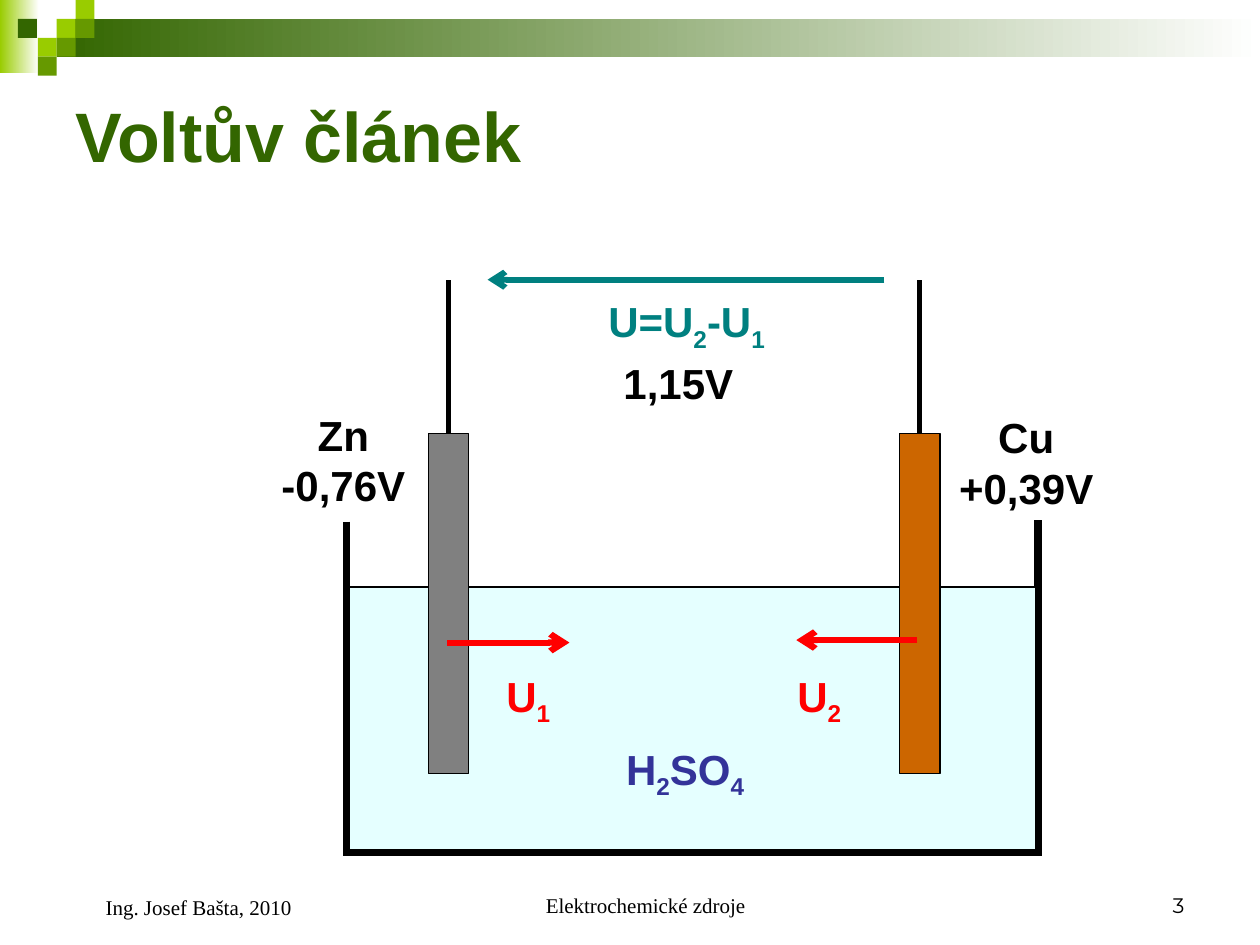
import itertools

import pptx
import pptx.dml.color
import pptx.enum.shapes
import pptx.enum.text
import pptx.oxml
import pptx.util

RGBColor = pptx.dml.color.RGBColor
Inches = pptx.util.Inches
Pt = pptx.util.Pt
ALIGN = pptx.enum.text.PP_ALIGN
ANCHOR = pptx.enum.text.MSO_ANCHOR

WHITE = RGBColor(0xFF, 0xFF, 0xFF)
BLACK = RGBColor(0x00, 0x00, 0x00)
DARK_GREEN = RGBColor(0x33, 0x66, 0x00)
GREEN = RGBColor(0x66, 0x99, 0x00)
LIME = RGBColor(0x99, 0xCC, 0x00)
ACID = RGBColor(0xE5, 0xFF, 0xFF)
ZINC = RGBColor(0x80, 0x80, 0x80)
COPPER = RGBColor(0xCC, 0x66, 0x00)
RED = RGBColor(0xFF, 0x00, 0x00)
TEAL = RGBColor(0x00, 0x80, 0x80)
INDIGO = RGBColor(0x33, 0x33, 0x99)

SQUARE = 0.15
ZINC_X, COPPER_X = 3.56, 7.3
ELECTRODE_TOP, ELECTRODE_WIDTH, ELECTRODE_HEIGHT = 3.44, 0.32, 2.7
WIRE_TOP = 2.22


def add_rectangle(slide, left, top, width, height, color, outlined=False, fade=False):
    shape = slide.shapes.add_shape(
        pptx.enum.shapes.MSO_SHAPE.RECTANGLE,
        Inches(left), Inches(top), Inches(width), Inches(height))
    shape.shadow.inherit = False
    if fade:
        shape.fill.gradient()
        shape.fill.gradient_angle = 0
        for stop, stop_color in zip(shape.fill.gradient_stops, (color, WHITE)):
            stop.color.rgb = stop_color
    else:
        shape.fill.solid()
        shape.fill.fore_color.rgb = color
    if outlined:
        shape.line.color.rgb = BLACK
        shape.line.width = Pt(0.75)
    else:
        shape.line.fill.background()


def add_line(slide, start, end, color, width, arrow=False):
    line = slide.shapes.add_connector(
        pptx.enum.shapes.MSO_CONNECTOR.STRAIGHT,
        *(Inches(length) for length in (*start, *end)))
    line.line.color.rgb = color
    line.line.width = Pt(width)
    if arrow:
        pptx.oxml.ns  # namespace helpers
        head = pptx.oxml.xmlchemy.OxmlElement("a:tailEnd")
        head.set("type", "arrow")
        line.line._get_or_add_ln().append(head)
    line._element.spPr.append(pptx.oxml.xmlchemy.OxmlElement("a:effectLst"))


def format_font(font, size, color, name="Arial", bold=True):
    font.size = Pt(size)
    font.name = name
    font.bold = bold
    font.color.rgb = color


def add_text_box(slide, left, top, width, height, align=ALIGN.LEFT, anchor=ANCHOR.TOP):
    """Add an empty text box and return its first paragraph."""
    box = slide.shapes.add_textbox(
        Inches(left), Inches(top), Inches(width), Inches(height))
    frame = box.text_frame
    frame.word_wrap = True
    frame.vertical_anchor = anchor
    paragraph = frame.paragraphs[0]
    paragraph.alignment = align
    return paragraph


def add_label(slide, text, left, top, width, height=0.5, align=ALIGN.LEFT):
    paragraph = add_text_box(slide, left, top, width, height, align)
    paragraph.text = text
    for run in paragraph.runs:
        format_font(run.font, 24, BLACK)


def add_formula(slide, formula, left, top, width, color):
    """Write a formula whose digits are all subscripts."""
    paragraph = add_text_box(slide, left, top, width, 0.56)
    for is_index, letters in itertools.groupby(formula, str.isdigit):
        run = paragraph.add_run()
        run.text = "".join(letters)
        format_font(run.font, 24, color)
        if is_index:
            run.font._element.set("baseline", "-25000")


def add_footer(slide, text, left, width, align, height=0.5, indent=0.24,
               font_name="Times New Roman"):
    paragraph = add_text_box(slide, left, 6.83, width, height, align, ANCHOR.BOTTOM)
    paragraph.text = text
    paragraph._p.get_or_add_pPr().set("marL", str(Inches(indent)))
    format_font(paragraph.runs[0].font, 12, BLACK, font_name, bold=False)


def add_decoration(slide):
    add_rectangle(slide, 0, 0, 0.31, 0.58, LIME, fade=True)
    add_rectangle(slide, 3 * SQUARE, SQUARE, 10 - 3 * SQUARE, 2 * SQUARE,
                  DARK_GREEN, fade=True)
    squares = [(3, 1, LIME), (4, 0, LIME), (4, 1, GREEN), (2, 2, LIME),
               (0.95, 1, DARK_GREEN), (3, 2, GREEN), (2, 3, GREEN)]
    for column, row, color in squares:
        add_rectangle(slide, column * SQUARE, row * SQUARE, SQUARE, SQUARE, color)


def add_title(slide, text):
    title = slide.shapes.title
    title.left, title.top = Inches(0.5), Inches(0.5)
    title.width, title.height = Inches(9), Inches(1.13)
    title.text_frame.text = text
    title.text_frame.vertical_anchor = ANCHOR.MIDDLE
    paragraph = title.text_frame.paragraphs[0]
    paragraph.alignment = ALIGN.LEFT
    format_font(paragraph.runs[0].font, 40, DARK_GREEN)


def add_vessel(slide):
    add_line(slide, (2.75, 4.14), (2.75, 6.79), BLACK, 4.5)
    add_line(slide, (8.24, 4.13), (8.24, 6.78), BLACK, 4.5)
    add_line(slide, (2.76, 6.76), (8.27, 6.76), BLACK, 4.5)
    add_rectangle(slide, 2.77, 4.66, 5.45, 2.08, ACID, outlined=True)
    add_formula(slide, "H2SO4", 4.87, 5.85, 1.38, INDIGO)


def add_electrode(slide, center, color):
    add_line(slide, (center, 3.51), (center, WIRE_TOP), BLACK, 3)
    add_rectangle(slide, center - ELECTRODE_WIDTH / 2, ELECTRODE_TOP,
                  ELECTRODE_WIDTH, ELECTRODE_HEIGHT, color, outlined=True)


def add_voltages(slide):
    add_line(slide, (3.55, 5.1), (4.52, 5.1), RED, 3.5, arrow=True)
    add_line(slide, (7.28, 5.08), (6.32, 5.08), RED, 3.5, arrow=True)
    add_formula(slide, "U1", 3.92, 5.27, 0.7, RED)
    add_formula(slide, "U2", 6.23, 5.27, 0.7, RED)
    add_line(slide, (7.02, WIRE_TOP), (3.87, WIRE_TOP), TEAL, 3.25, arrow=True)
    add_formula(slide, "U=U2-U1", 4.73, 2.3, 1.63, TEAL)
    add_label(slide, "1,15V", 4.85, 2.79, 1.17)


def main():
    presentation = pptx.Presentation()
    presentation.slide_width, presentation.slide_height = Inches(10), Inches(7.5)
    slide = presentation.slides.add_slide(presentation.slide_layouts[5])

    add_decoration(slide)
    add_title(slide, "Voltův článek")
    add_vessel(slide)
    add_electrode(slide, ZINC_X, ZINC)
    add_electrode(slide, COPPER_X, COPPER)
    add_voltages(slide)
    add_label(slide, "Zn\v-0,76V", 2.1, 3.2, 1.25, 0.9, ALIGN.CENTER)
    add_label(slide, "Cu\v+0,39V", 7.43, 3.22, 1.43, 0.9, ALIGN.CENTER)

    add_footer(slide, "Elektrochemické zdroje", 3.42, 3.17, ALIGN.CENTER)
    add_footer(slide, "3", 7.17, 2.33, ALIGN.RIGHT, indent=0, font_name="Montserrat")
    add_footer(slide, "Ing. Josef Bašta, 2010", 0.5, 2.33, ALIGN.LEFT, height=0.52)
    presentation.save("out.pptx")


if __name__ == "__main__":
    main()
